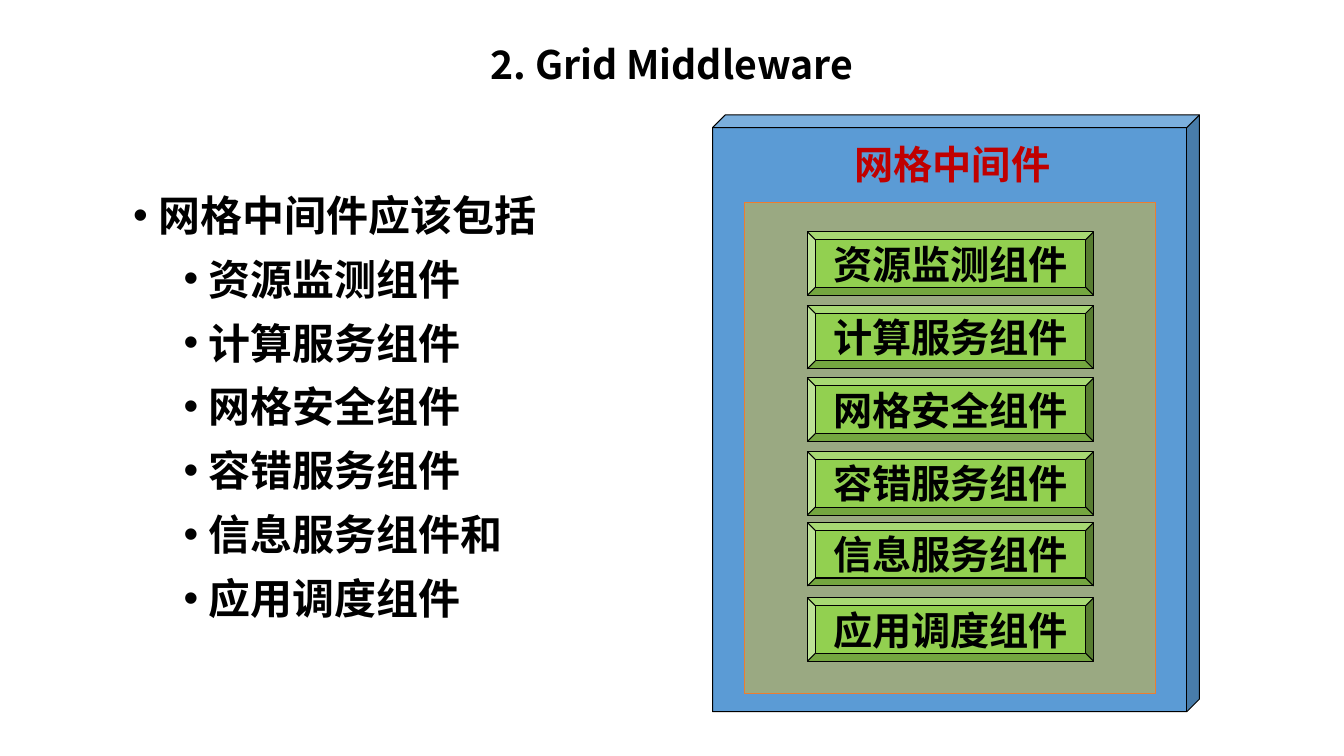
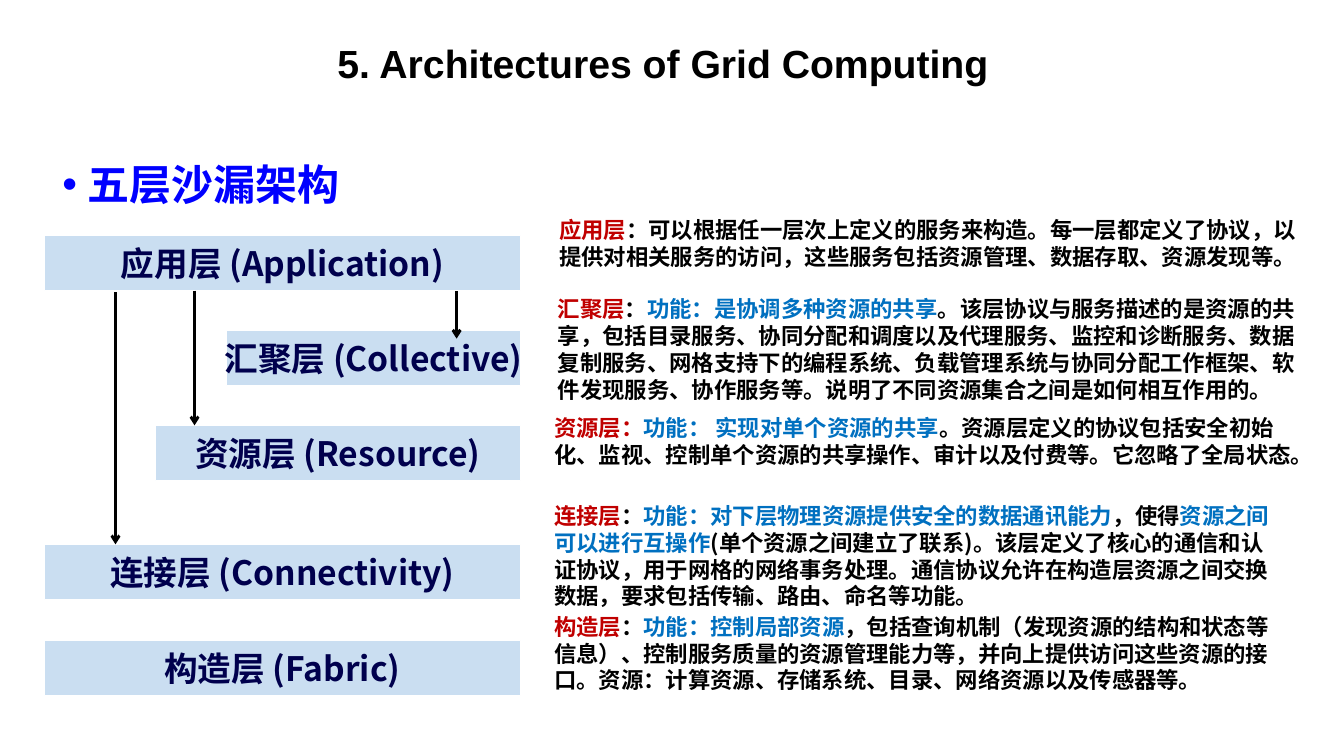
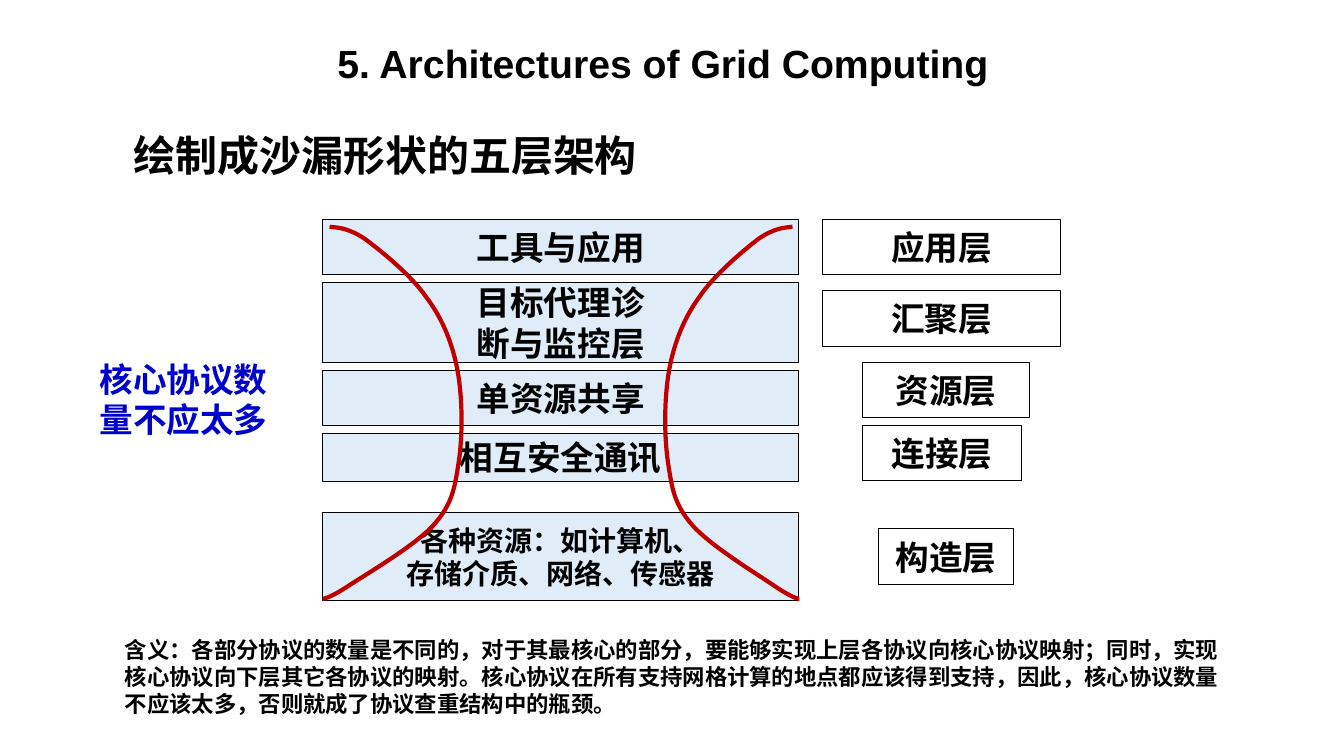
from lxml.etree import SubElement
from pptx import Presentation
from pptx.dml.color import RGBColor
from pptx.enum.shapes import MSO_CONNECTOR, MSO_SHAPE
from pptx.enum.text import MSO_ANCHOR, PP_ALIGN
from pptx.oxml.ns import qn
from pptx.util import Inches, Pt

BLACK = RGBColor(0x00, 0x00, 0x00)
WHITE = RGBColor(0xFF, 0xFF, 0xFF)
RED = RGBColor(0xC0, 0x00, 0x00)
AZURE = RGBColor(0x00, 0x70, 0xC0)
BLUE = RGBColor(0x00, 0x00, 0xFF)
DEEP_BLUE = RGBColor(0x00, 0x00, 0xCC)
NAVY = RGBColor(0x00, 0x00, 0x4D)
STEEL = RGBColor(0x5B, 0x9B, 0xD5)
GOLD = RGBColor(0xFF, 0xC0, 0x00)
ORANGE = RGBColor(0xED, 0x7D, 0x31)
GREEN = RGBColor(0x92, 0xD0, 0x50)
CJK_FONT = "Noto Sans CJK SC"
CENTERED = {"alignment": PP_ALIGN.CENTER}

presentation = Presentation()
presentation.slide_width = Inches(40 / 3)
presentation.slide_height = Inches(7.5)
COLUMN = presentation.slide_width / 160
ROW = presentation.slide_height / 90


def add_box(slide, kind, left, top, width, height, fill=None, opacity=100, line=None):
    place = [round(value) for value in (left * COLUMN, top * ROW, width * COLUMN, height * ROW)]
    if kind is None:
        return slide.shapes.add_textbox(*place)
    shape = slide.shapes.add_shape(kind, *place)
    shape.shadow.inherit = False
    if fill is None:
        shape.fill.background()
    else:
        shape.fill.solid()
        shape.fill.fore_color.rgb = fill
    if opacity < 100:
        color = shape._element.spPr.find(qn("a:solidFill"))[0]
        SubElement(color, qn("a:alpha"), val=str(opacity * 1000))
    shape.line.color.rgb = line
    shape.line.width = Pt(0.75)
    return shape


def write(shape, paragraphs, size, color=BLACK, font=CJK_FONT, wrap=False,
          anchor=MSO_ANCHOR.MIDDLE, layout=CENTERED, levels=()):
    frame = shape.text_frame
    frame.word_wrap = wrap
    frame.vertical_anchor = anchor
    for index, runs in enumerate(paragraphs):
        paragraph = frame.paragraphs[0] if index == 0 else frame.add_paragraph()
        for name, value in layout.items():
            if index or name != "space_before":
                setattr(paragraph, name, value)
        if levels:
            paragraph.level = levels[index]
            properties = paragraph._p.get_or_add_pPr()
            properties.set("marL", str(round((3 + 6 * levels[index]) * COLUMN)))
            properties.set("indent", str(round(-3 * COLUMN)))
            SubElement(properties, qn("a:buFont"), typeface="Arial")
            SubElement(properties, qn("a:buChar"), char="•")
        for text, run_color in [(runs, color)] if isinstance(runs, str) else runs:
            run = paragraph.add_run()
            run.text = text
            for name, value in {"size": Pt(size), "bold": True, "name": font}.items():
                setattr(run.font, name, value)
            run.font.color.rgb = run_color
            SubElement(run._r.get_or_add_rPr(), qn("a:ea"), typeface=font)


ARCHITECTURES = ("5. Architectures of Grid Computing ", "Arial", (35.64, 4.36, 87.84, 6.12))
slides = []
for title, font, place in [
    ("2. Grid Middleware", CJK_FONT, (28.96, 3.9, 102, 8.04)),
    ARCHITECTURES,
    ARCHITECTURES,
]:
    slide = presentation.slides.add_slide(presentation.slide_layouts[6])
    title_layout = {**CENTERED, "line_spacing": 0.9 if font == CJK_FONT else 1.0}
    write(add_box(slide, None, *place), [title], 28, font=font, wrap=True, layout=title_layout)
    slides.append(slide)
middleware, layers, hourglass = slides

components = ["资源监测组件", "计算服务组件", "网格安全组件", "容错服务组件", "信息服务组件", "应用调度组件"]
bullets = ["网格中间件应该包括", *components]
bullets[5] += "和"
write(add_box(middleware, None, 14.67, 21.36, 52.92, 57.12), bullets, 30, wrap=True,
      anchor=MSO_ANCHOR.TOP, layout={"line_spacing": 1.1, "space_before": Pt(6)},
      levels=[0] + [1] * len(components))
cube = add_box(middleware, MSO_SHAPE.CUBE, 84.84, 13.68, 57.96, 71.04, STEEL, line=BLACK)
cube.adjustments[0] = 0.026
add_box(middleware, MSO_SHAPE.RECTANGLE, 88.62, 24.12, 48.96, 58.44, GOLD, 39, ORANGE)
for component, top in zip(components, [27.6, 36.36, 45, 53.76, 62.2, 71.16]):
    button = add_box(middleware, MSO_SHAPE.BEVEL, 96.12, top, 34.08, 7.56, GREEN, line=BLACK)
    button.adjustments[0] = 0.125
    write(button, [component], 28)
write(add_box(middleware, None, 97.3, 16.68, 32.16, 5.64), ["网格中间件"], 28, RED)

write(add_box(layers, None, 6.24, 18.96, 42.48, 8.04), ["五层沙漏架构"], 30, BLUE, wrap=True,
      anchor=MSO_ANCHOR.TOP, layout={"line_spacing": 0.9}, levels=[0])
for text, left, top in [
    ("应用层 (Application)", 5.28, 28),
    ("汇聚层 (Collective)", 27, 39.36),
    ("资源层 (Resource)", 18.5, 50.67),
    ("连接层 (Connectivity)", 5.28, 64.84),
    ("构造层 (Fabric)", 5.28, 76.2),
]:
    write(add_box(layers, MSO_SHAPE.RECTANGLE, left, top, 61.96 - left, 6.57, STEEL, 32, WHITE), [text], 24, NAVY)

for across, start, end in [(23.16, 34.6, 50.64), (54.36, 34.68, 40.32), (13.75, 34.8, 64.8)]:
    x = round(across * COLUMN)
    arrow = layers.shapes.add_connector(MSO_CONNECTOR.STRAIGHT, x, round(start * ROW), x, round(end * ROW))
    arrow.line.color.rgb = BLACK
    arrow.line.width = Pt(2)
    properties = arrow._element.spPr
    SubElement(properties.find(qn("a:ln")), qn("a:tailEnd"), type="arrow")
    SubElement(properties, qn("a:effectLst"))

for place, runs in [
    ((64.8, 72.36, 89.28, 10.92), [
        ("构造层", RED), ("：", BLACK), ("功能：控制局部资源", AZURE),
        ("，包括查询机制（发现资源的结构和状态等信息）、控制服务质量的资源管理能力等，并向上提供访问这些资源的接口。资源：计算资源、存储系统、目录、网络资源以及传感器等。", BLACK)]),
    ((64.8, 59.16, 89.28, 14.16), [
        ("连接层", RED), ("：", BLACK), ("功能：对下层物理资源提供安全的数据通讯能力", AZURE),
        ("，使得", BLACK), ("资源之间可以进行互操作", AZURE),
        ("(单个资源之间建立了联系)。该层定义了核心的通信和认证协议，用于网格的网络事务处理。通信协议允许在构造层资源之间交换数据，要求包括传输、路由、命名等功能。", BLACK)]),
    ((64.8, 48.72, 90.6, 7.68), [
        ("资源层：", RED), ("功能： 实现对单个资源的共享", AZURE),
        ("。资源层定义的协议包括安全初始化、监视、控制单个资源的共享操作、审计以及付费等。它忽略了全局状态。", BLACK)]),
    ((65.24, 34.56, 90.96, 14.16), [
        ("汇聚层", RED), ("：", BLACK), ("功能：是协调多种资源的共享", AZURE),
        ("。该层协议与服务描述的是资源的共享，包括目录服务、协同分配和调度以及代理服务、监控和诊断服务、数据复制服务、网格支持下的编程系统、负载管理系统与协同分配工作框架、软件发现服务、协作服务等。说明了不同资源集合之间是如何相互作用的。", BLACK)]),
    ((65.4, 25.2, 92.28, 7.68), [
        ("应用层", RED),
        ("：可以根据任一层次上定义的服务来构造。每一层都定义了协议，以提供对相关服务的访问，这些服务包括资源管理、数据存取、资源发现等。", BLACK)]),
]:
    write(add_box(layers, None, *place), [runs], 16, wrap=True, anchor=MSO_ANCHOR.TOP, layout={})

for lines, top, height, size in [
    (["相互安全通讯"], 51.6, 5.7, 24),
    (["工具与应用"], 26.14, 6.57, 24),
    (["目标代理诊", "断与监控层"], 33.66, 9.48, 24),
    (["单资源共享"], 44.1, 6.57, 24),
    (["各种资源：如计算机、", "存储介质、网络、传感器"], 61.06, 10.44, 20),
]:
    write(add_box(hourglass, MSO_SHAPE.RECTANGLE, 38.4, top, 56.7, height, STEEL, 19, BLACK), lines, size)
for name, left, top, width in [
    ("应用层", 97.92, 26.14, 28.32),
    ("汇聚层", 97.92, 34.6, 28.32),
    ("资源层", 102.72, 43.1, 19.84),
    ("构造层", 104.56, 62.96, 16.1),
    ("连接层", 102.72, 50.64, 18.88),
]:
    write(add_box(hourglass, MSO_SHAPE.RECTANGLE, left, top, width, 6.6, line=BLACK), [name], 24)

controls = [
    (39.24, 27), (40.32, 27.12), (41.4, 27.12), (43.44, 28.44), (45.36, 29.88), (48.96, 32.76), (50.76, 35.4),
    (52.68, 37.92), (53.88, 40.92), (54.48, 44.16), (55.08, 47.52), (55.08, 51.96), (54.6, 55.08),
    (54.12, 58.08), (53.88, 60), (51.6, 62.52), (49.32, 65.04), (43.32, 68.52), (41.16, 69.96),
    (38.88, 71.4), (38.4, 71.28), (38.4, 71.28),
]
for edge, direction in [(38.4, 1), (95.16, -0.965)]:
    points = [(round((edge + direction * (x - 38.4)) * COLUMN), round(y * ROW)) for x, y in controls]
    builder = hourglass.shapes.build_freeform(*points[0])
    builder.add_line_segments(points[1:], close=False)
    side = builder.convert_to_shape()
    outline = next(side._element.iter(qn("a:moveTo"))).getparent()
    segments = outline.findall(qn("a:lnTo"))
    for first in range(0, len(segments), 3):
        curve = SubElement(outline, qn("a:cubicBezTo"))
        for segment in segments[first:first + 3]:
            curve.append(segment[0])
            outline.remove(segment)
    side.shadow.inherit = False
    side.fill.background()
    side.line.color.rgb = RED
    side.line.width = Pt(3)

write(add_box(hourglass, None, 14.67, 15.48, 64.2, 8.04), ["绘制成沙漏形状的五层架构"], 30,
      wrap=True, anchor=MSO_ANCHOR.TOP, layout={"line_spacing": 0.9})
write(add_box(hourglass, None, 13.68, 75.12, 133.08, 10.92), [
    "含义：各部分协议的数量是不同的，对于其最核心的部分，要能够实现上层各协议向核心协议映射；同时，实现核心协议向下层其它各协议的映射。核心协议在所有支持网格计算的地点都应该得到支持，因此，核心协议数量不应该太多，否则就成了协议查重结构中的瓶颈。",
], 16, wrap=True, anchor=MSO_ANCHOR.TOP, layout={})
write(add_box(hourglass, None, 10.66, 42.14, 22.56, 10.92), ["核心协议数", "量不应太多"], 24, DEEP_BLUE,
      anchor=MSO_ANCHOR.TOP, layout={})

presentation.save("out.pptx")
